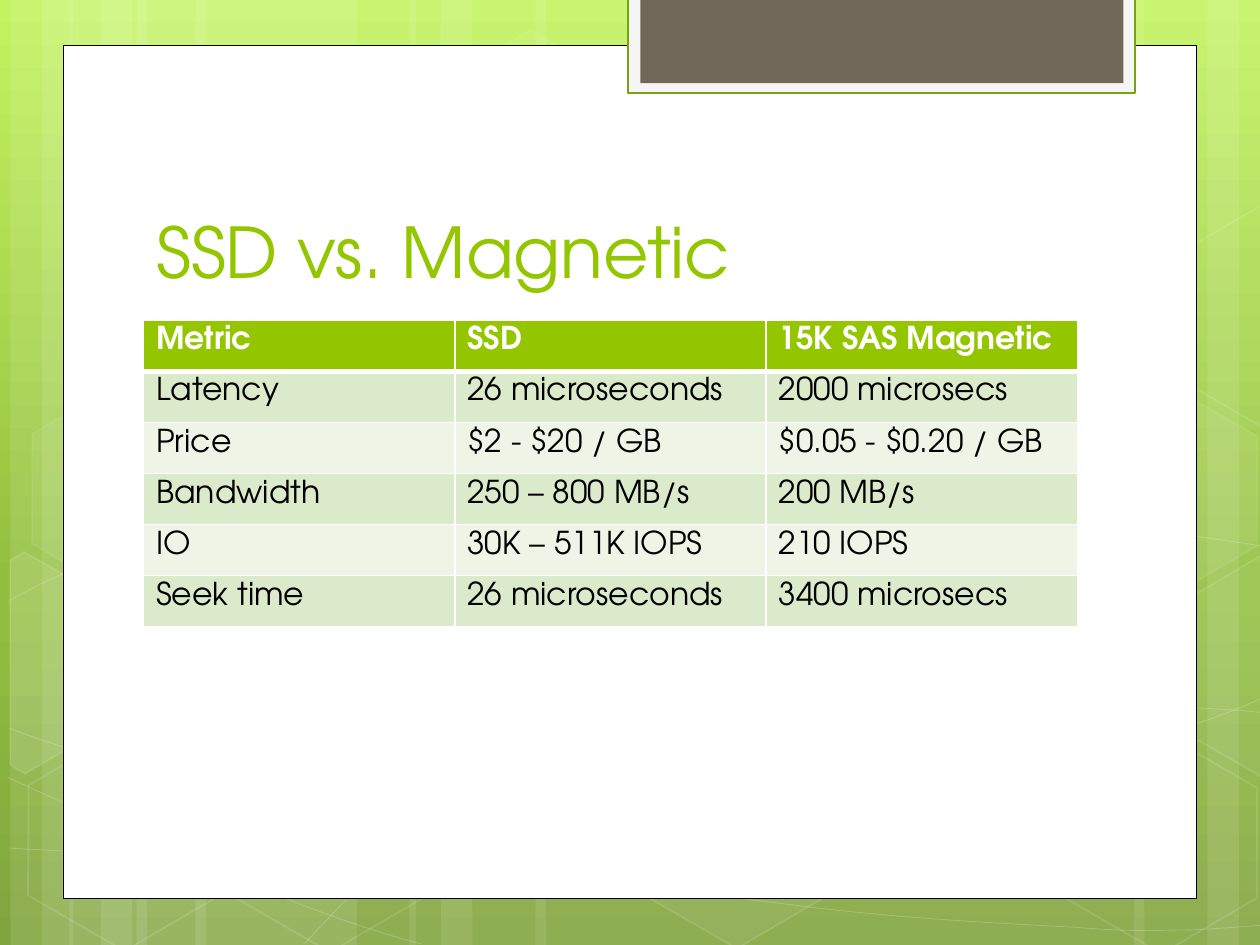
from collections import namedtuple
from copy import deepcopy

from lxml.etree import SubElement
from pptx import Presentation
from pptx.dml.color import RGBColor
from pptx.enum.shapes import MSO_SHAPE
from pptx.enum.text import MSO_ANCHOR, MSO_AUTO_SIZE, PP_ALIGN
from pptx.oxml.ns import qn
from pptx.util import Pt

Box = namedtuple("Box", "left top width height")

FONT = "TeX Gyre Adventor"
GREEN, WHITE = "94C600", "FFFFFF"
BAND_FILLS = ("DCEACC", "EEF5E7")
GRADIENT = ((0, "C3F35F"), (0.62, "93BF3F"), (1, "81A53E"))

# Left and width of each full-height stripe
STRIPES = [
    (78, 126), (6, 36), (24, 60), (111.6, 126), (39.6, 36), (57.6, 60),
    (528, 126), (690, 36), (648, 60), (306, 222), (234, 36), (252, 60),
]
# Start point, then two control points and an end point for each segment
CURVES = [
    [(5, 484.6), (43.9, 486.7), (82.8, 488.9), (136.8, 488.2),
     (190.8, 487.4), (257.8, 486), (329.8, 478.8),
     (401.8, 471.6), (504, 457.9), (570.2, 444.2),
     (635.8, 430.6), (703.4, 409), (725, 396.7)],
    [(5, 343.4), (25.9, 331.9), (46.8, 321.1), (87.1, 310.3),
     (128.2, 299.5), (186.5, 283.7), (249.8, 278.6),
     (313.9, 273.6), (391.7, 272.9), (470.9, 278.6),
     (550.1, 284.4), (681.8, 306.7), (725, 312.5)],
    [(4.3, 444.2), (91.4, 483.8), (177.8, 523.4), (240.5, 539.3)],
    [(5, 416.2), (27.4, 424.1), (50.4, 432), (92.2, 443.5),
     (133.9, 454.3), (196.6, 472.3), (257, 484.6),
     (316.8, 496.8), (392.4, 509.8), (452.2, 517),
     (511.9, 524.9), (576, 527.8), (614.2, 529.9),
     (651.6, 532.8), (661.7, 531.4), (680.4, 531.4),
     (699.1, 530.6), (712.1, 529.2), (725, 528.5)],
    [(174.2, 539.3), (187.2, 524.9), (200.2, 510.5), (217.4, 497.5),
     (234.7, 484.6), (259.2, 470.2), (279.4, 460.1),
     (299.5, 450), (311.8, 445.7), (338.4, 438.5),
     (364.3, 431.3), (412.6, 421.2), (437.8, 416.2),
     (463.7, 411.1), (467.3, 411.1), (489.6, 409.7),
     (511.9, 407.5), (547.2, 405.4), (571.7, 404.6),
     (596.9, 403.9), (637.9, 404.6), (637.9, 404.6),
     (654, 404.6), (670, 404.6), (686.2, 404.6),
     (699.1, 405.4), (711.4, 406.1), (717.8, 406.8),
     (724.3, 407.5), (722.2, 406.8), (724.3, 407.5)],
]
# Left, top, fill opacity and line opacity in percent
HEXAGONS = [
    (240.5, 25.9, 4, 8), (357.8, 424.1, 6, 12), (7.9, 425.5, 0, 12),
    (10.1, 224.6, 7, 8), (125.3, 426.2, 0, 12), (600.5, 427, 0, 12),
    (600.5, 226, 7, 8),
]
# Corners of the hexagons cut off by the slide edge, and their fill opacity
CUT_HEXAGONS = [
    ([(5.8, 320.4), (13.7, 315.4), (69.1, 347), (68.4, 410.4),
      (14.4, 442.1), (5.8, 437)], 10),
    ([(666.7, 349.2), (720.7, 317.5), (726.5, 321.1), (726.5, 441.4),
      (721.4, 444.2), (666.7, 412.6)], 4),
    ([(666.7, 149), (720.7, 117.4), (727.2, 121), (726.5, 241.2),
      (721.4, 244.1), (666.7, 212.4)], 0),
]
ROWS = [
    ("Metric", "SSD", "15K SAS Magnetic"),
    ("Latency", "26 microseconds", "2000 microsecs"),
    ("Price", "$2 - $20 / GB", "$0.05 - $0.20 / GB"),
    ("Bandwidth", "250 – 800 MB/s", "200 MB/s"),
    ("IO", "30K – 511K IOPS", "210 IOPS"),
    ("Seek time", "26 microseconds", "3400 microsecs"),
]


def color(value):
    return RGBColor.from_string(value)


def paint(fill, value, opacity=100):
    """Fill with a solid colour; an opacity of 0 means no fill."""
    if not opacity:
        fill.background()
        return
    fill.solid()
    fill.fore_color.rgb = color(value)
    if opacity < 100:
        node = fill._xPr.find(f"{qn('a:solidFill')}/{qn('a:srgbClr')}")
        SubElement(node, qn("a:alpha"), val=str(opacity * 1000))


def style(shape, fill=WHITE, opacity=100, line=None, width=1, line_opacity=100):
    shape.shadow.inherit = False
    paint(shape.fill, fill, opacity)
    paint(shape.line.fill, line or WHITE, line_opacity if line else 0)
    if line:
        shape.line.width = Pt(width)


def format_text(paragraph, **values):
    paragraph.alignment = PP_ALIGN.LEFT
    paragraph.font.color.rgb = color(values.pop("color"))
    for name, value in values.items():
        setattr(paragraph.font, name, value)


def add_preset(slide, kind, box, **look):
    shape = slide.shapes.add_shape(kind, *map(Pt, box))
    style(shape, **look)
    return shape


def add_outline(slide, box, points, close, **look):
    corners = [(Pt(box.left + x), Pt(box.top + y)) for x, y in points]
    builder = slide.shapes.build_freeform(*corners[0])
    builder.add_line_segments(corners[1:], close=close)
    shape = builder.convert_to_shape()
    style(shape, **look)
    return shape


def bend(shape):
    """Join each three line segments into one cubic Bézier segment."""
    lines = list(shape._element.iter(qn("a:lnTo")))
    for first in range(0, len(lines), 3):
        group = lines[first:first + 3]
        group[0].tag = qn("a:cubicBezTo")
        for line in group[1:]:
            group[0].append(line[0])
            line.getparent().remove(line)


def set_gradient(slide):
    fill = slide.background.fill
    fill.gradient()
    fill.gradient_angle = 270
    stop_list = fill._fill._gradFill.find(qn("a:gsLst"))
    stop_list.append(deepcopy(stop_list[-1]))
    for stop, (position, value) in zip(fill.gradient_stops, GRADIENT):
        stop.position = position
        stop.color.rgb = color(value)


def add_backdrop(slide, box):
    for left, width in STRIPES:
        stripe = Box(box.left + left, box.top, width, box.height)
        add_preset(slide, MSO_SHAPE.RECTANGLE, stripe, opacity=10)
    for nodes in CURVES:
        bend(add_outline(slide, box, nodes, False, opacity=0,
                         line=WHITE, width=0.5, line_opacity=20))
    for left, top, opacity, line_opacity in HEXAGONS:
        place = Box(box.left + left, box.top + top, 126, 109.4)
        hexagon = add_preset(slide, MSO_SHAPE.HEXAGON, place, opacity=opacity,
                             line=WHITE, line_opacity=line_opacity)
        hexagon.adjustments[0] = 0.285
        hexagon.rotation = 30
    for points, opacity in CUT_HEXAGONS:
        add_outline(slide, box, points, True, opacity=opacity, line=WHITE, line_opacity=12)


def add_panel(slide, box):
    add_preset(slide, MSO_SHAPE.RECTANGLE, box, line="000000", width=0.5)


def add_tab(slide, box):
    inner = Box(box.left + 6.9, box.top, box.width - 13.6, box.height - 5.8)
    add_preset(slide, MSO_SHAPE.RECTANGLE, box, fill="F5F5F5", line="74A510", width=1.25)
    add_preset(slide, MSO_SHAPE.RECTANGLE, inner, fill="71685A")


def add_title(slide, box):
    title = slide.shapes.title
    for name, value in zip(Box._fields, box):
        setattr(title, name, Pt(value))
    frame = title.text_frame
    frame.text = "SSD vs. Magnetic"
    frame.auto_size = MSO_AUTO_SIZE.NONE
    frame.vertical_anchor = MSO_ANCHOR.BOTTOM
    format_text(frame.paragraphs[0], color=GREEN, size=Pt(40), name=FONT)
    slide.shapes._spTree.append(title._element)  # bring in front of the panel


def set_borders(cell, top, bottom):
    properties = cell._tc.get_or_add_tcPr()
    widths = {"a:lnL": 1, "a:lnR": 1, "a:lnT": top, "a:lnB": bottom}
    for index, (tag, width) in enumerate(widths.items()):
        line = SubElement(properties, qn(tag), w=str(Pt(width)))
        SubElement(SubElement(line, qn("a:solidFill")), qn("a:srgbClr"), val=WHITE)
        properties.insert(index, line)


def add_comparison_table(slide, box):
    table = slide.shapes.add_table(len(ROWS), len(ROWS[0]), *map(Pt, box)).table
    for row_index, texts in enumerate(ROWS):
        header = row_index == 0
        for column_index, text in enumerate(texts):
            cell = table.cell(row_index, column_index)
            cell.text = text
            paint(cell.fill, GREEN if header else BAND_FILLS[(row_index - 1) % 2])
            set_borders(cell, 3 if row_index == 1 else 1, 3 if header else 1)
            format_text(cell.text_frame.paragraphs[0], name=FONT, size=Pt(18),
                        bold=header, color=WHITE if header else "000000")


def main():
    presentation = Presentation()
    presentation.slide_width, presentation.slide_height = Pt(720), Pt(540)
    slide = presentation.slides.add_slide(presentation.slide_layouts[5])
    set_gradient(slide)
    add_backdrop(slide, Box(0, 0, 720, 540))
    add_panel(slide, Box(36, 26, 648, 487.2))
    add_tab(slide, Box(359, -1.5, 289.6, 54.8))
    add_title(slide, Box(82.1, 80.6, 553, 90))
    add_comparison_table(slide, Box(82.1, 183, 533.6, 175.2))
    presentation.save("out.pptx")


if __name__ == "__main__":
    main()
